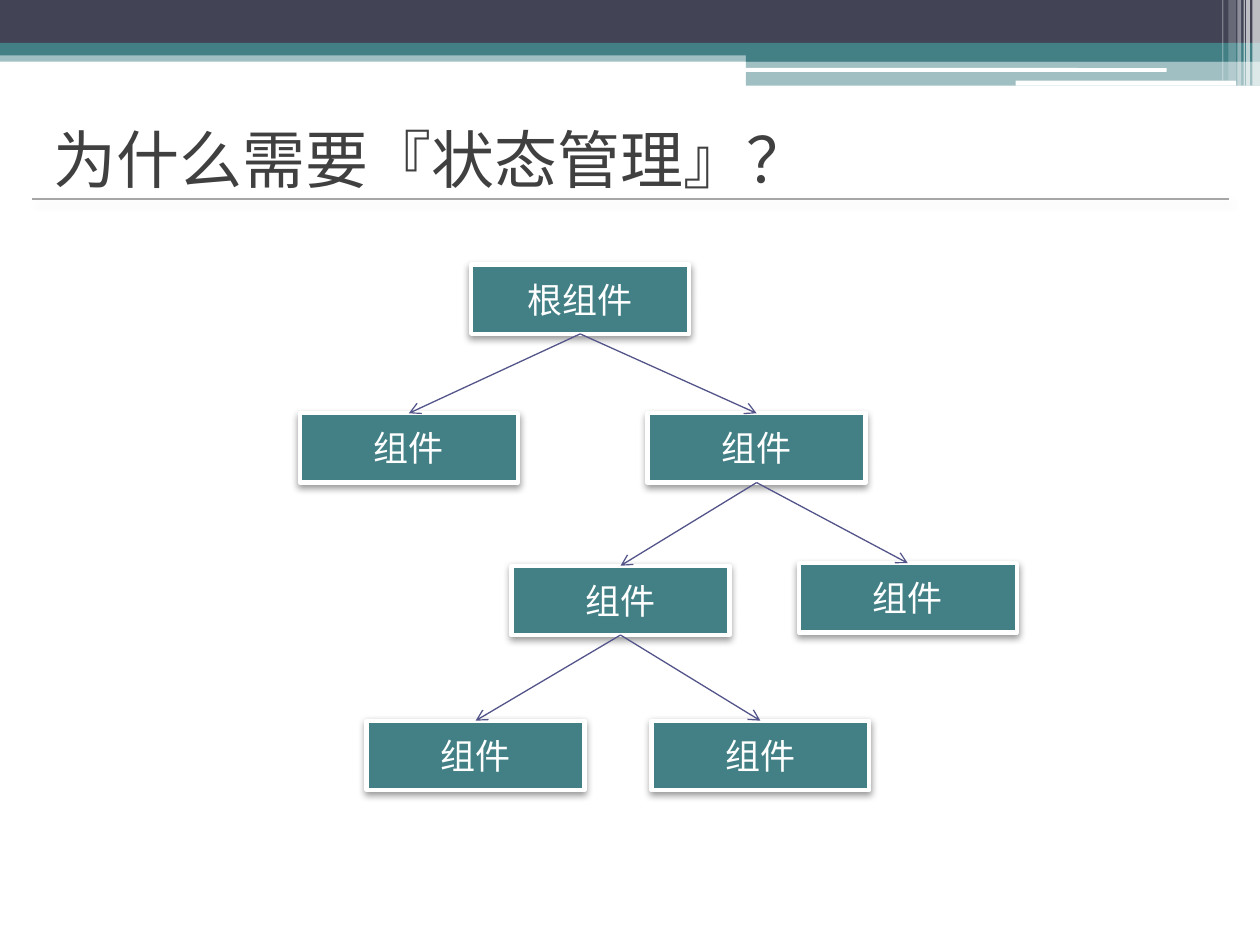
from dataclasses import dataclass
from typing import Optional

import pptx
import pptx.dml.color
import pptx.enum.dml
import pptx.enum.shapes
import pptx.enum.text
import pptx.oxml
import pptx.oxml.ns
import pptx.util

Inches = pptx.util.Inches
Pt = pptx.util.Pt
SHAPE = pptx.enum.shapes.MSO_SHAPE
STRAIGHT = pptx.enum.shapes.MSO_CONNECTOR.STRAIGHT
ALIGN = pptx.enum.text.PP_ALIGN
MIDDLE = pptx.enum.text.MSO_ANCHOR.MIDDLE
NS = pptx.oxml.ns.nsdecls("a")
COLORS = {
    "navy": "424456",
    "teal": "438086",
    "white": "FFFFFF",
    "rule": "A6A6A6",
    "title": "404040",
    "arrow": "53548A",
    "shadow": "000000",
}
NODE_W, NODE_H = 1.73, 0.55
BOTTOM, TOP = 2, 0


@dataclass
class Bar:
    left: float
    top: float
    width: float
    height: float
    color: str
    opacity: int = 100
    rounded: bool = False


@dataclass
class Node:
    left: float
    top: float
    text: str = "组件"
    parent: Optional[int] = None


@dataclass
class Shadow:
    blur: float
    dist: float
    angle: int
    opacity: int = 40


BARS = [
    Bar(0, 0.4, 10, 0.09, "teal", 50),
    Bar(0, 0, 10, 0.34, "navy"),
    Bar(0, 0.34, 10, 0.1, "teal"),
    Bar(5.92, 0.39, 4.08, 0.1, "teal"),
    Bar(5.92, 0.48, 4.08, 0.2, "teal", 50),
    Bar(5.91, 0.54, 3.35, 0.03, "white", rounded=True),
    Bar(8.06, 0.64, 1.75, 0.04, "white", rounded=True),
    Bar(9.94, 0, 0.06, 0.68, "white", 65),
    Bar(9.89, 0, 0.03, 0.68, "white", 65),
    Bar(9.87, 0, 0.01, 0.68, "white", 60),
    Bar(9.82, 0, 0.03, 0.68, "white", 40),
    Bar(9.75, 0, 0.06, 0.64, "white", 20),
    Bar(9.7, 0, 0.01, 0.64, "white", 30),
]
NODES = [
    Node(3.74, 2.1, "根组件"),
    Node(2.38, 3.28, parent=0),
    Node(5.14, 3.28, parent=0),
    Node(4.06, 4.49, parent=2),
    Node(6.34, 4.47, parent=2),
    Node(2.91, 5.72, parent=3),
    Node(5.17, 5.72, parent=3),
]


def rgb(name: str) -> pptx.dml.color.RGBColor:
    return pptx.dml.color.RGBColor.from_string(COLORS[name])


def set_effects(sp, shadow: Optional[Shadow] = None) -> None:
    effects = pptx.oxml.parse_xml(f"<a:effectLst {NS}/>")
    if shadow:
        effects.append(pptx.oxml.parse_xml(
            f'<a:outerShdw {NS} blurRad="{Pt(shadow.blur)}" dist="{Pt(shadow.dist)}" '
            f'dir="{shadow.angle * 60000}" algn="tl" rotWithShape="0">'
            f'<a:srgbClr val="{COLORS["shadow"]}">'
            f'<a:alpha val="{shadow.opacity * 1000}"/></a:srgbClr></a:outerShdw>'))
    sp._element.spPr.append(effects)


def set_line(sp, color: str, width: float) -> None:
    sp.line.color.rgb = rgb(color)
    sp.line.width = Pt(width)


def write(sp, text: str, size: float, font: str, color: str, align) -> None:
    tf = sp.text_frame
    for name, value in {"word_wrap": True, "vertical_anchor": MIDDLE}.items():
        setattr(tf, name, value)
    p = tf.paragraphs[0]
    p.alignment = align
    r = p.add_run()
    r.text = text
    for name, value in {"size": Pt(size), "name": font}.items():
        setattr(r.font, name, value)
    r.font.color.rgb = rgb(color)
    r.font._element.append(pptx.oxml.parse_xml(
        f'<a:ea {NS} typeface="Noto Sans CJK SC"/>'))


def draw_bar(s, bar: Bar) -> None:
    kind = SHAPE.ROUNDED_RECTANGLE if bar.rounded else SHAPE.RECTANGLE
    sp = s.shapes.add_shape(kind, Inches(bar.left), Inches(bar.top),
                            Inches(bar.width), Inches(bar.height))
    sp.fill.solid()
    sp.fill.fore_color.rgb = rgb(bar.color)
    if bar.opacity < 100:
        color = sp._element.spPr.find(".//" + pptx.oxml.ns.qn("a:srgbClr"))
        color.append(pptx.oxml.parse_xml(
            f'<a:alpha {NS} val="{bar.opacity * 1000}"/>'))
    sp.line.fill.background()
    sp.shadow.inherit = False


def draw_node(s, node: Node):
    sp = s.shapes.add_shape(SHAPE.RECTANGLE, Inches(node.left), Inches(node.top),
                            Inches(NODE_W), Inches(NODE_H))
    sp.fill.solid()
    sp.fill.fore_color.rgb = rgb("teal")
    set_line(sp, "white", 2.5)
    set_effects(sp, Shadow(4.1, 2, 90))
    write(sp, node.text, 20, "Noto Sans CJK SC", "white", ALIGN.CENTER)
    return sp


def draw_arrow(s, parent, child) -> None:
    sp = s.shapes.add_connector(STRAIGHT, 0, 0, 0, 0)
    sp.begin_connect(parent, BOTTOM)
    sp.end_connect(child, TOP)
    set_line(sp, "arrow", 0.75)
    sp.line._get_or_add_ln().append(
        pptx.oxml.parse_xml(f'<a:tailEnd {NS} type="arrow"/>'))
    set_effects(sp)


def draw_title(s, text: str) -> None:
    rule = s.shapes.add_connector(STRAIGHT, Inches(0.25), Inches(1.58),
                                  Inches(9.75), Inches(1.58))
    set_line(rule, "rule", 1)
    set_effects(rule, Shadow(4, 3, 45))
    sp = s.shapes.add_textbox(Inches(0.33), Inches(0.67), Inches(9.33), Inches(1.17))
    write(sp, text, 36, "Arial", "title", ALIGN.LEFT)


def main() -> None:
    prs = pptx.Presentation()
    prs.slide_width, prs.slide_height = Inches(10), Inches(7.5)
    s = prs.slides.add_slide(prs.slide_layouts[6])
    for bar in BARS:
        draw_bar(s, bar)
    draw_title(s, "为什么需要『状态管理』？")
    boxes = [draw_node(s, node) for node in NODES]
    for node, box in zip(NODES, boxes):
        if node.parent is not None:
            draw_arrow(s, boxes[node.parent], box)
    prs.save("out.pptx")


if __name__ == "__main__":
    main()
